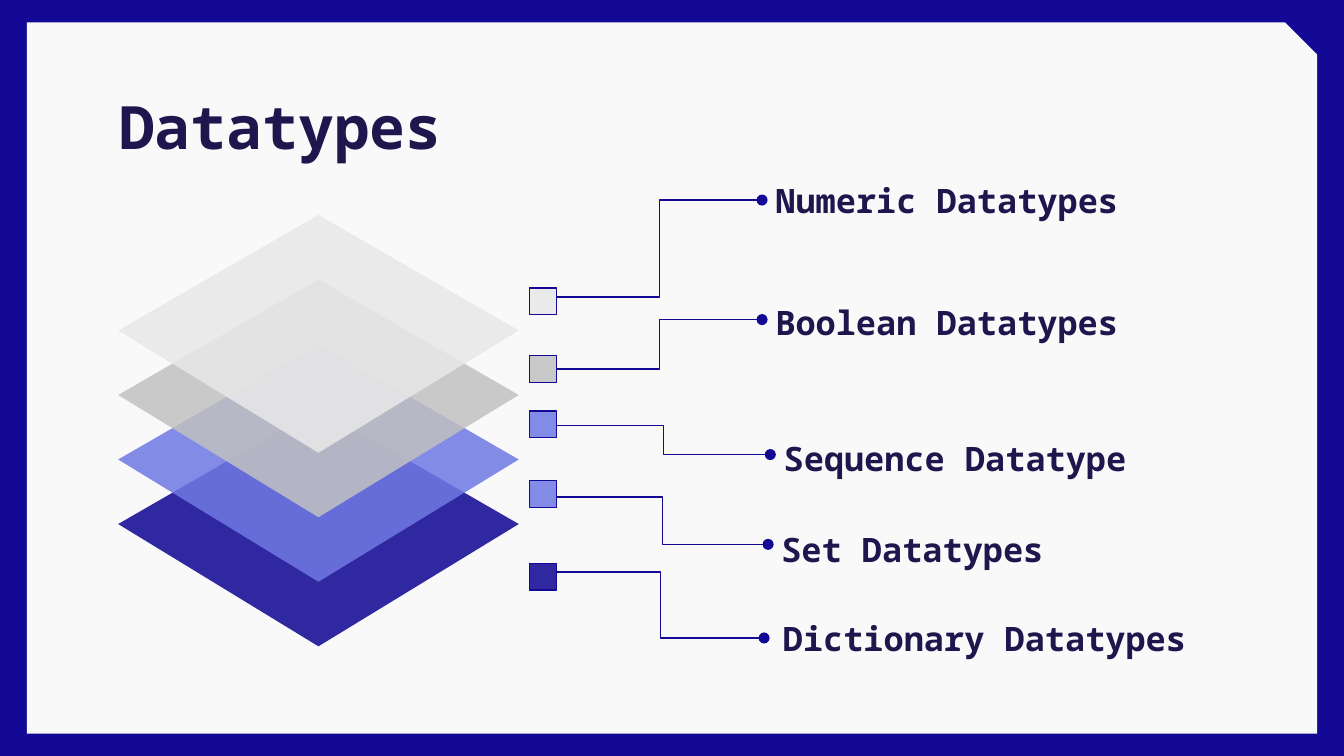
"""Build a slide with stacked layers linked to labelled Python datatypes."""
from typing import NamedTuple

from lxml.etree import SubElement
from pptx import Presentation
from pptx.dml.color import RGBColor
from pptx.enum.shapes import MSO_CONNECTOR as Connector, MSO_SHAPE as Preset
from pptx.enum.text import MSO_ANCHOR as Anchor
from pptx.oxml.ns import qn
from pptx.util import Pt

FONT = "Noto Sans Mono"
NAVY = RGBColor(0x13, 0x09, 0x94)
PERIWINKLE = RGBColor(0x6F, 0x79, 0xE3)
GREY = RGBColor(0xC1, 0xC1, 0xC1)
PALE = RGBColor(0xE8, 0xE8, 0xE8)
PAPER = RGBColor(0xF9, 0xF9, 0xF9)
INK = RGBColor(0x1F, 0x16, 0x4D)

LAYER_TOP, LAYER_STEP = 115.2, 34.56
LAYER_CENTER, LAYER_HALF = 170.6, 107.3
LAYER_SHOULDER, LAYER_HEIGHT = 61.9, 127.4
KEY_LEFT, KEY_SIZE = 283.7, 14.4


class Tint(NamedTuple):
    color: RGBColor
    opacity: int


class Datatype(NamedTuple):
    name: str
    tint: Tint
    key_top: float
    link_y: float
    dot_x: float
    dot_y: float
    label_left: float
    label_top: float
    label_width: float


TOP = Tint(PALE, 87)
UPPER = Tint(GREY, 85)
LOWER = Tint(PERIWINKLE, 86)
BASE = Tint(NAVY, 87)
LAYERS = (TOP, UPPER, LOWER, BASE)

DATATYPES = (
    Datatype("Numeric Datatypes", TOP, 154.3, 159.2, 408.3, 107.2, 408.3, 89.3, 287),
    Datatype("Boolean Datatypes", UPPER, 190.5, 197.7, 408.3, 171.2, 408.3, 154.8, 255),
    Datatype("Sequence Datatype", LOWER, 220.2, 228, 412.7, 243.6, 412.7, 227.5, 203),
    Datatype("Set Datatypes", LOWER, 257.4, 266.3, 411.5, 291.7, 411.5, 276.5, 260),
    Datatype("Dictionary Datatypes", BASE, 301.8, 306.5, 409.4, 341.8, 412.3, 324, 251),
)


def paint(shape, tint: Tint) -> None:
    shape.shadow.inherit = False
    shape.fill.solid()
    shape.fill.fore_color.rgb = tint.color
    if tint.opacity < 100:
        color = shape.fill._xPr.find(qn("a:solidFill"))[0]
        SubElement(color, qn("a:alpha")).set("val", str(tint.opacity * 1000))


def add_text(shapes, text: str, left: float, top: float, width: float,
             height: float, size: float, anchor: Anchor) -> None:
    box = shapes.add_textbox(Pt(left), Pt(top), Pt(width), Pt(height))
    frame = box.text_frame
    frame.text = text
    frame.word_wrap = True
    frame.vertical_anchor = anchor
    frame.margin_left = frame.margin_right = Pt(7.2)
    frame.margin_top = frame.margin_bottom = Pt(7.2)
    line = frame.paragraphs[0]
    line.line_spacing = 1.15
    font = line.runs[0].font
    font.name, font.size, font.bold = FONT, Pt(size), True
    font.color.rgb = INK


def add_paper(shapes) -> None:
    paper = shapes.add_shape(Preset.SNIP_1_RECTANGLE, Pt(14.4), Pt(12), Pt(691.2), Pt(381))
    paper.adjustments[0] = 0.045
    paint(paper, Tint(PAPER, 100))
    paper.line.fill.background()


def add_layer(shapes, top: float, tint: Tint) -> None:
    shoulder = Pt(top + LAYER_SHOULDER)
    outline = shapes.build_freeform(Pt(LAYER_CENTER), Pt(top))
    outline.add_line_segments([
        (Pt(LAYER_CENTER - LAYER_HALF), shoulder),
        (Pt(LAYER_CENTER), Pt(top + LAYER_HEIGHT)),
        (Pt(LAYER_CENTER + LAYER_HALF), shoulder),
    ], close=True)
    layer = outline.convert_to_shape()
    paint(layer, tint)
    layer.line.fill.background()


def add_datatype(shapes, datatype: Datatype) -> None:
    key = shapes.add_shape(Preset.RECTANGLE, Pt(KEY_LEFT), Pt(datatype.key_top),
                           Pt(KEY_SIZE), Pt(KEY_SIZE))
    paint(key, datatype.tint)
    link = shapes.add_connector(Connector.ELBOW, Pt(datatype.dot_x), Pt(datatype.dot_y),
                                Pt(KEY_LEFT + KEY_SIZE), Pt(datatype.link_y))
    for outlined in (key, link):
        outlined.line.color.rgb = NAVY
        outlined.line.width = Pt(0.75)
    SubElement(link.line._get_or_add_ln(), qn("a:headEnd")).set("type", "oval")
    SubElement(link._element.spPr, qn("a:effectLst"))
    add_text(shapes, datatype.name, datatype.label_left, datatype.label_top,
             datatype.label_width, 32.4, 18, Anchor.MIDDLE)


def main() -> None:
    deck = Presentation()
    deck.slide_width, deck.slide_height = Pt(720), Pt(405)
    slide = deck.slides.add_slide(deck.slide_layouts[6])
    slide.background.fill.solid()
    slide.background.fill.fore_color.rgb = NAVY
    shapes = slide.shapes

    add_paper(shapes)
    add_text(shapes, "Datatypes", 56.7, 35.3, 607, 45.4, 32, Anchor.TOP)
    for depth, tint in reversed(list(enumerate(LAYERS))):
        add_layer(shapes, LAYER_TOP + depth * LAYER_STEP, tint)
    for datatype in DATATYPES:
        add_datatype(shapes, datatype)
    deck.save("out.pptx")


if __name__ == "__main__":
    main()
